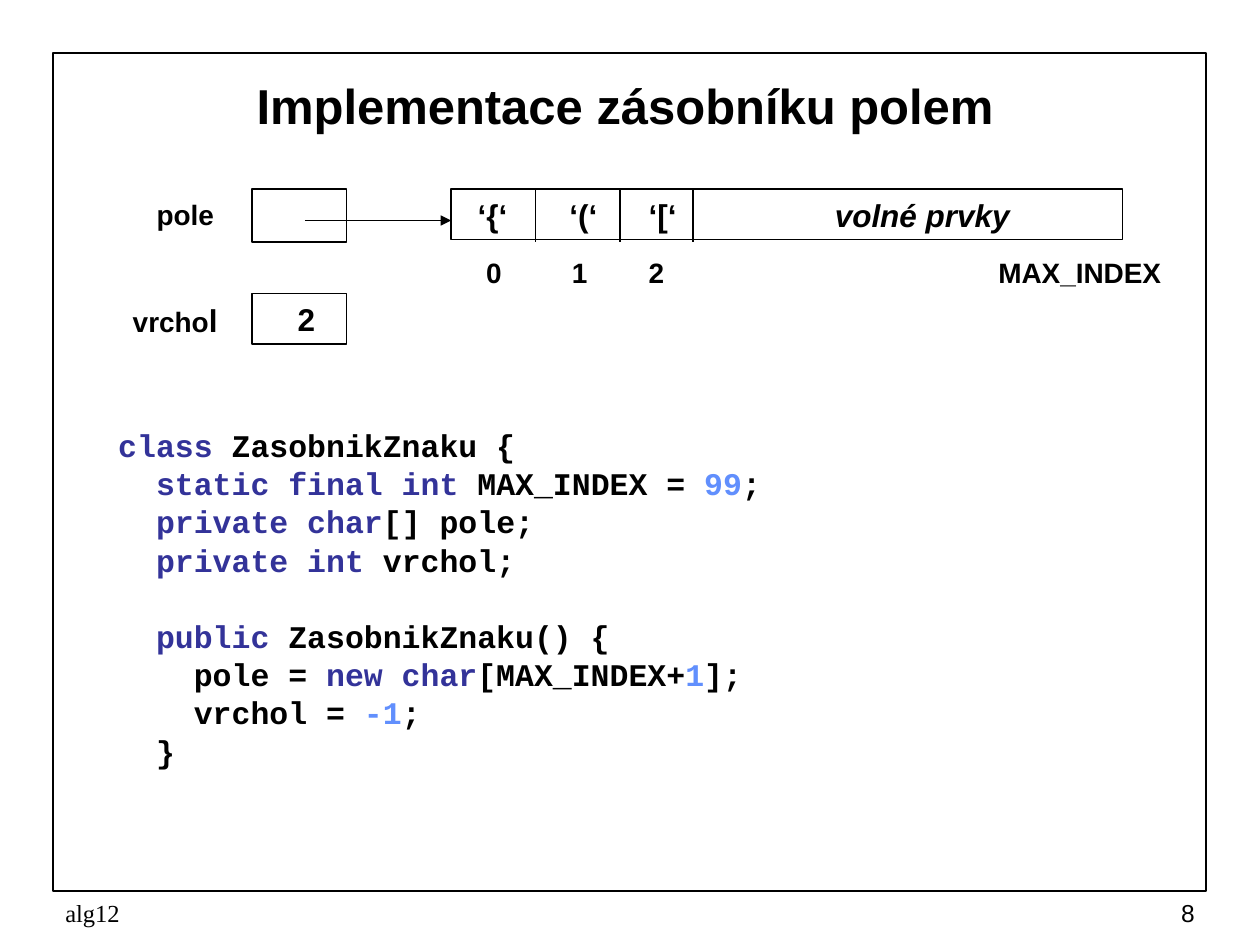
"""Build a slide on implementing a stack with an array."""
import pptx
import pptx.dml.color
import pptx.enum.shapes
import pptx.enum.text
import pptx.oxml.ns
import pptx.util
from lxml import etree

Inches = pptx.util.Inches
Pt = pptx.util.Pt
ALIGN = pptx.enum.text.PP_ALIGN
BLACK, KEYWORD, NUMBER = "000000", "333399", "618FFD"


def color(value):
    return pptx.dml.color.RGBColor.from_string(value)


class Deck:
    font = "Arial"
    code_font = "Courier New"
    line_width = 0.75

    def __init__(self, prs):
        self.slide = prs.slides.add_slide(prs.slide_layouts[6])

    def style(self, p, size, font=None, bold=True, italic=False):
        for r in p.runs:
            r.font.size = Pt(size)
            r.font.name = font or self.font
            r.font.bold = bold
            r.font.italic = italic
            r.font.color.rgb = color(BLACK)

    def rect(self, x, y, w, h, width=line_width):
        sp = self.slide.shapes.add_shape(
            pptx.enum.shapes.MSO_SHAPE.RECTANGLE,
            Inches(x), Inches(y), Inches(w), Inches(h))
        sp.shadow.inherit = False
        sp.fill.background()
        sp.line.color.rgb = color(BLACK)
        sp.line.width = Pt(width)
        return sp

    def line(self, x1, y1, x2, y2, arrow=False):
        s = self.slide.shapes.add_connector(
            pptx.enum.shapes.MSO_CONNECTOR.STRAIGHT,
            Inches(x1), Inches(y1), Inches(x2), Inches(y2))
        s.line.color.rgb = color(BLACK)
        s.line.width = Pt(self.line_width)
        if arrow:
            etree.SubElement(s.line._get_or_add_ln(),
                             pptx.oxml.ns.qn("a:tailEnd"), type="triangle")
        etree.SubElement(s._element.spPr, pptx.oxml.ns.qn("a:effectLst"))

    def text(self, x, y, w, h, text, size, align=ALIGN.CENTER, **style):
        s = self.slide.shapes.add_textbox(
            Inches(x), Inches(y), Inches(w), Inches(h))
        tf = s.text_frame
        tf.word_wrap = True
        tf.vertical_anchor = pptx.enum.text.MSO_ANCHOR.MIDDLE
        tf.text = text
        p = tf.paragraphs[0]
        p.alignment = align
        self.style(p, size, **style)
        return p

    def label(self, cx, cy, text, size, w=1, **style):
        return self.text(cx - w / 2, cy - 0.2, w, 0.4, text, size, **style)

    def code(self, x, y, w, h, lines):
        tf = self.slide.shapes.add_textbox(
            Inches(x), Inches(y), Inches(w), Inches(h)).text_frame
        tf.word_wrap = True
        for i, (level, gap, pieces) in enumerate(lines):
            p = tf.add_paragraph() if i else tf.paragraphs[0]
            p.line_spacing = Pt(21.8)
            p.space_before = Pt(gap)
            p._p.get_or_add_pPr().set("marL", str(Inches(0.3 * level)))
            for text, _ in pieces:
                p.add_run().text = text
            self.style(p, 18, self.code_font)
            for r, (_, value) in zip(p.runs, pieces):
                r.font.color.rgb = color(value)


def main():
    prs = pptx.Presentation()
    prs.slide_width, prs.slide_height = Inches(10), Inches(7.5)
    deck = Deck(prs)

    deck.rect(0.42, 0.42, 9.15, 6.65, 1)
    deck.text(0.5, 0.5, 8.92, 0.67, "Implementace zásobníku polem", 28)

    deck.rect(3.58, 1.5, 5.33, 0.4)
    for x in (4.25, 4.92, 5.5):
        deck.line(x, 1.5, x, 1.92)
    for x, text in ((3.91, "‘{‘"), (4.63, "‘(‘"), (5.26, "‘[‘")):
        deck.label(x, 1.71, text, 18)
    deck.label(7.32, 1.71, "volné prvky", 18, w=2, italic=True)
    for x, text in ((3.92, "0"), (4.6, "1"), (5.21, "2")):
        deck.label(x, 2.16, text, 16)
    deck.label(8.57, 2.16, "MAX_INDEX", 16, w=1.6)

    deck.rect(2, 1.5, 0.75, 0.42)
    deck.label(1.47, 1.7, "pole", 16)
    deck.line(2.42, 1.75, 3.58, 1.75, arrow=True)

    top = deck.rect(2, 2.33, 0.75, 0.4)
    tf = top.text_frame
    tf.margin_left = Inches(0.21)
    tf.text = "2"
    tf.paragraphs[0].alignment = ALIGN.CENTER
    deck.style(tf.paragraphs[0], 18)
    p = deck.label(1.39, 2.54, "vrcho", 16)
    r = p.add_run()
    r.text = "l"
    deck.style(p, 16)
    r.font.size = Pt(18)

    deck.code(0.84, 3.33, 8, 3, [
        (0, 0, [("class", KEYWORD), (" ZasobnikZnaku {", BLACK)]),
        (1, 0, [("static final int", KEYWORD), (" MAX_INDEX = ", BLACK),
                ("99", NUMBER), (";", BLACK)]),
        (1, 0, [("private char", KEYWORD), ("[] pole;", BLACK)]),
        (1, 0, [("private int", KEYWORD), (" vrchol;", BLACK)]),
        (1, 22, [("public", KEYWORD), (" ZasobnikZnaku() {", BLACK)]),
        (2, 0, [("pole = ", BLACK), ("new char", KEYWORD),
                ("[MAX_INDEX+", BLACK), ("1", NUMBER), ("];", BLACK)]),
        (2, 0, [("vrchol = ", BLACK), ("-1", NUMBER), (";", BLACK)]),
        (1, 0, [("}", BLACK)]),
    ])

    deck.text(0.42, 7.08, 3.17, 0.33, "alg12", 14, ALIGN.LEFT,
              font="Times New Roman", bold=False)
    deck.text(7.5, 7.08, 2.08, 0.33, "8", 14, ALIGN.RIGHT, bold=False)
    prs.save("out.pptx")


if __name__ == "__main__":
    main()
